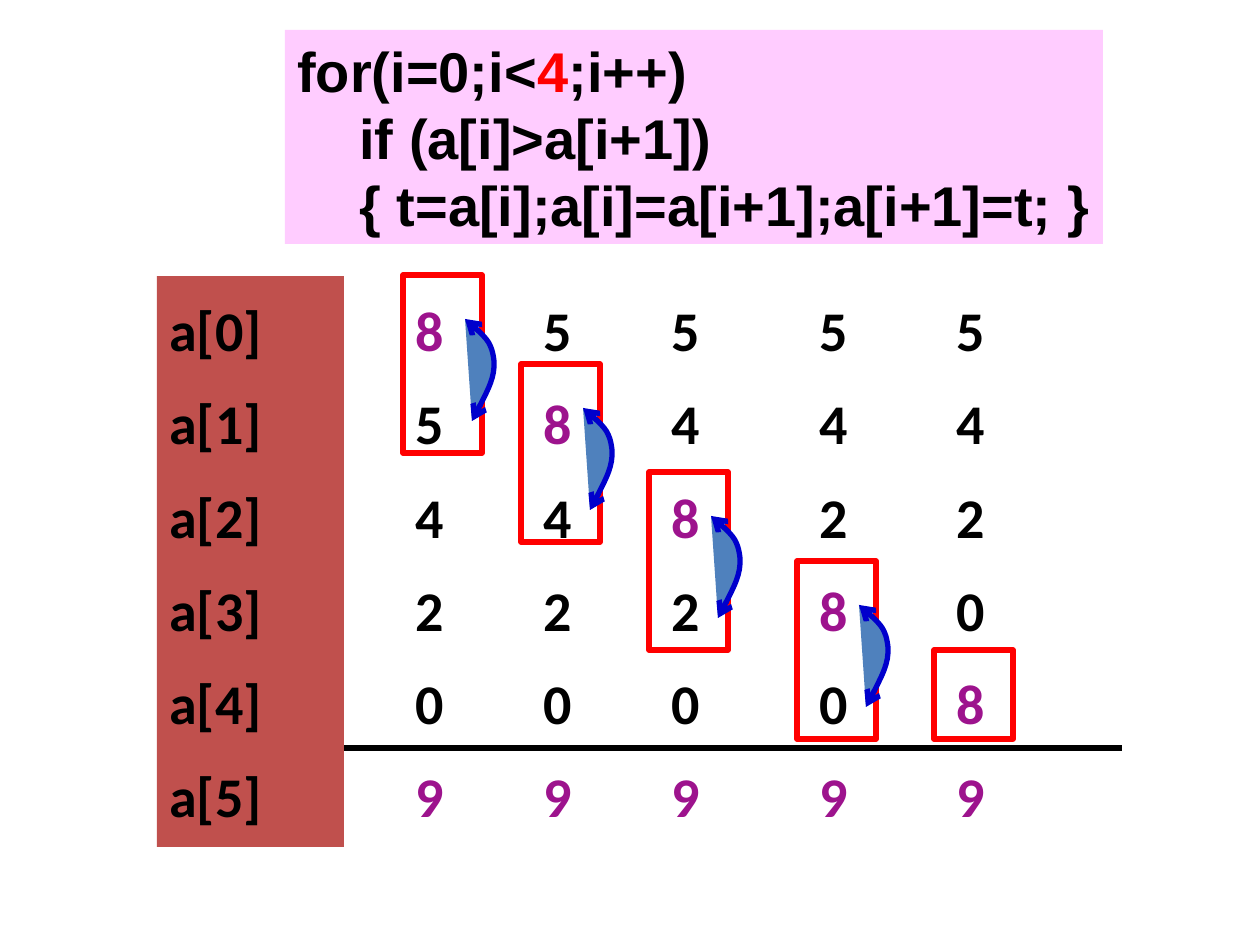
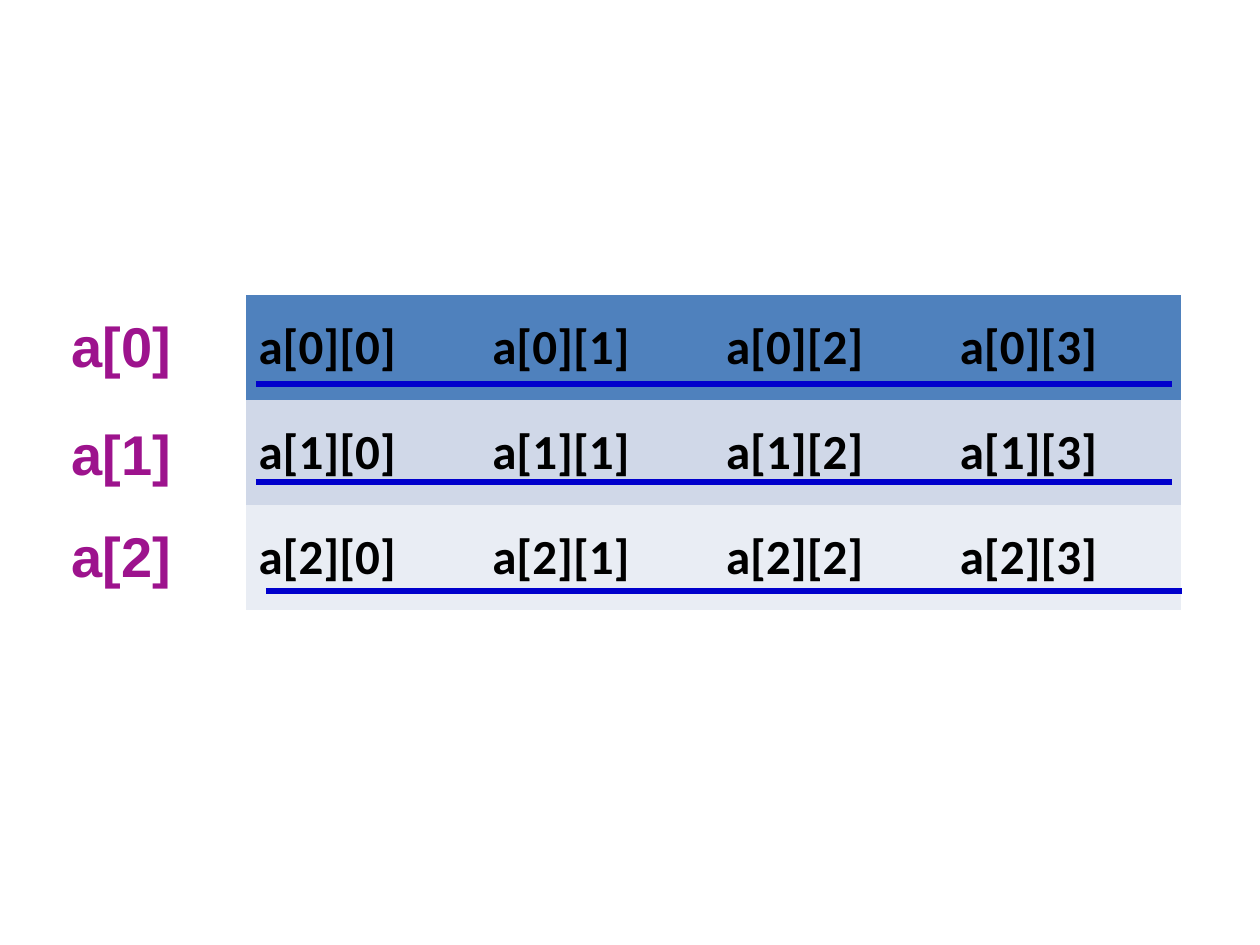
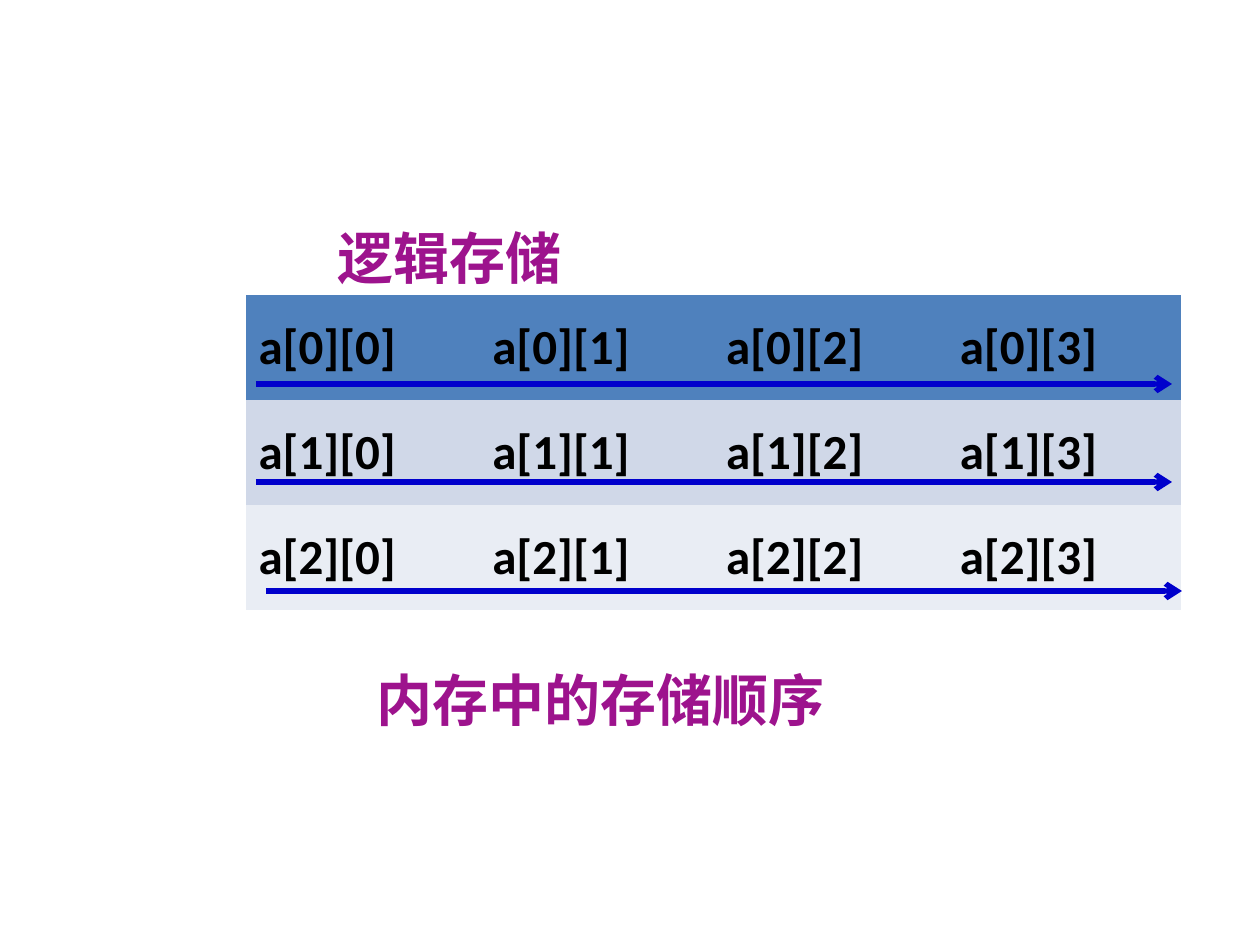
from lxml import etree
from pptx import Presentation
from pptx import util as u
from pptx.dml.color import RGBColor
from pptx.enum import shapes, text
from pptx.oxml.ns import qn

PX = 914400 / 126
BLACK, PURPLE, RED, BLUE = "000000", "9D138D", "FF0000", "0000CC"
STEEL, BRICK, PINK = "4F81BD", "C0504D", "FFCCFF"
ROW_FILLS = [STEEL, "D0D8E8", "E9EDF4"]
NO_TABLE_STYLE = "{2D5ABB26-0587-4C30-8999-92F81FD0307C}"


def px(*lengths):
    return [u.Emu(round(length * PX)) for length in lengths]


def color(value):
    return RGBColor.from_string(value)


def write(frame, paragraphs, size=32, font="Calibri", fill=BLACK, spacing=None, before=0, wrap=True):
    frame.word_wrap = wrap
    frame.vertical_anchor = text.MSO_ANCHOR.TOP
    for index, runs in enumerate(paragraphs):
        paragraph = frame.add_paragraph() if index else frame.paragraphs[0]
        paragraph.alignment = text.PP_ALIGN.LEFT
        if spacing:
            paragraph.line_spacing = spacing
        if index and before:
            paragraph.space_before = u.Pt(before)
        for words, run_fill in [(runs, fill)] if isinstance(runs, str) else runs:
            run = paragraph.add_run()
            run.text = words
            run.font.size = u.Pt(size)
            run.font.name = font
            run.font.bold = True
            run.font.color.rgb = color(run_fill)


def add_text(slide, box, paragraphs, **format):
    shape = slide.shapes.add_textbox(*px(*box))
    write(shape.text_frame, paragraphs, **format)


def paint(shape, fill=None, line=None):
    shape.shadow.inherit = False
    if fill:
        shape.fill.solid()
        shape.fill.fore_color.rgb = color(fill)
    else:
        shape.fill.background()
    if line:
        shape.line.color.rgb = color(line)
        shape.line.width = u.Pt(3)
    else:
        shape.line.fill.background()


def add_box(slide, kind, box, fill=None, line=None):
    shape = slide.shapes.add_shape(kind, *px(*box))
    paint(shape, fill, line)
    return shape


def add_arrowheads(shape, *ends):
    line = shape.line._get_or_add_ln()
    for end in ends:
        etree.SubElement(line, qn(f"a:{end}"), type="arrow")


def add_line(slide, start, end, fill, arrow=False):
    connector = slide.shapes.add_connector(shapes.MSO_CONNECTOR.STRAIGHT, *px(*start, *end))
    connector.line.color.rgb = color(fill)
    connector.line.width = u.Pt(3)
    if arrow:
        add_arrowheads(connector, "tailEnd")
    etree.SubElement(connector._element.spPr, qn("a:effectLst"))


def add_swap_arrow(slide, left, top):
    offsets = [(69, 146), (81, 123), (92, 102), (91, 86), (89, 68), (76, 55), (62, 44)]
    points = [(left + x, top + y) for x, y in offsets]
    builder = slide.shapes.build_freeform(*points[0], scale=PX)
    builder.add_line_segments(points[1:], close=False)
    shape = builder.convert_to_shape()
    outline = shape._element.spPr.find(".//" + qn("a:path"))
    segments = outline.findall(qn("a:lnTo"))
    for first in range(0, len(segments), 3):
        curve = etree.SubElement(outline, qn("a:cubicBezTo"))
        for segment in segments[first:first + 3]:
            curve.append(segment[0])
            outline.remove(segment)
    paint(shape, STEEL, BLUE)
    add_arrowheads(shape, "headEnd", "tailEnd")


def add_code(slide, box):
    shape = add_box(slide, shapes.MSO_SHAPE.RECTANGLE, box, PINK)
    lines = [
        [("for(i=0;i<", BLACK), ("4", RED), (";i++)", BLACK)],
        "    if (a[i]>a[i+1])",
        "    { t=a[i];a[i]=a[i+1];a[i+1]=t; }",
    ]
    write(shape.text_frame, lines, font="Arial", wrap=False)


def add_sort_steps(slide, box):
    left, top, width, height = box
    values = [8, 5, 4, 2, 0, 9]
    last = len(values) - 2
    list_format = {"spacing": 1.2, "before": 7.2}
    add_line(slide, (left + 168, top + 472), (left + width, top + 472), BLACK)
    columns = [(246, 246, -1), (374, 364, 88), (502, 492, 196), (650, 640, 285), (787, 777, 374)]
    for step, (text_left, frame_left, frame_top) in enumerate(columns):
        paragraphs = [[(str(value), PURPLE if value >= 8 else BLACK)] for value in values]
        add_text(slide, (left + text_left, top, 98, height), paragraphs, **list_format)
        frame_height = 178 if step < last else 89
        frame = (left + frame_left, top + frame_top, 79, frame_height)
        add_box(slide, shapes.MSO_SHAPE.FLOWCHART_PROCESS, frame, line=RED)
        if step < last:
            add_swap_arrow(slide, *frame[:2])
            values[step], values[step + 1] = values[step + 1], values[step]
    labels = add_box(slide, shapes.MSO_SHAPE.RECTANGLE, (left, top, 187, height), BRICK)
    write(labels.text_frame, [f"a[{row}]" for row in range(len(values))], **list_format)


def add_array_table(slide, box, arrows=False):
    left, top, width, height = box
    rows, columns = len(ROW_FILLS), 4
    graphic = slide.shapes.add_table(rows, columns, *px(*box))
    table = graphic.table
    graphic._element.find(".//" + qn("a:tableStyleId")).text = NO_TABLE_STYLE
    for row, fill in enumerate(ROW_FILLS):
        for column in range(columns):
            cell = table.cell(row, column)
            cell.fill.solid()
            cell.fill.fore_color.rgb = color(fill)
            write(cell.text_frame, [f"a[{row}][{column}]"], size=28)
            cell.vertical_anchor = text.MSO_ANCHOR.MIDDLE
    for x, y in [(10, 89), (10, 187), (20, 296)]:
        add_line(slide, (left + x, top + y), (left + x + 916, top + y), BLUE, arrows)


def add_caption(slide, box, words):
    add_text(slide, box, [words], font="Arial", fill=PURPLE)


def main():
    presentation = Presentation()
    presentation.slide_width, presentation.slide_height = px(1260, 945)
    sorting, rows, storage = [
        presentation.slides.add_slide(presentation.slide_layouts[6]) for _ in range(3)
    ]
    table_box = (246, 295, 935, 315)

    add_sort_steps(sorting, (157, 276, 965, 571))
    add_code(sorting, (285, 30, 818, 214))

    add_array_table(rows, table_box)
    for row, top in enumerate([305, 413, 515]):
        add_caption(rows, (59, top, 150, 81), f"a[{row}]")

    add_array_table(storage, table_box, arrows=True)
    add_caption(storage, (325, 217, 462, 81), "逻辑存储")
    add_caption(storage, (364, 659, 601, 81), "内存中的存储顺序")

    presentation.save("out.pptx")


if __name__ == "__main__":
    main()
